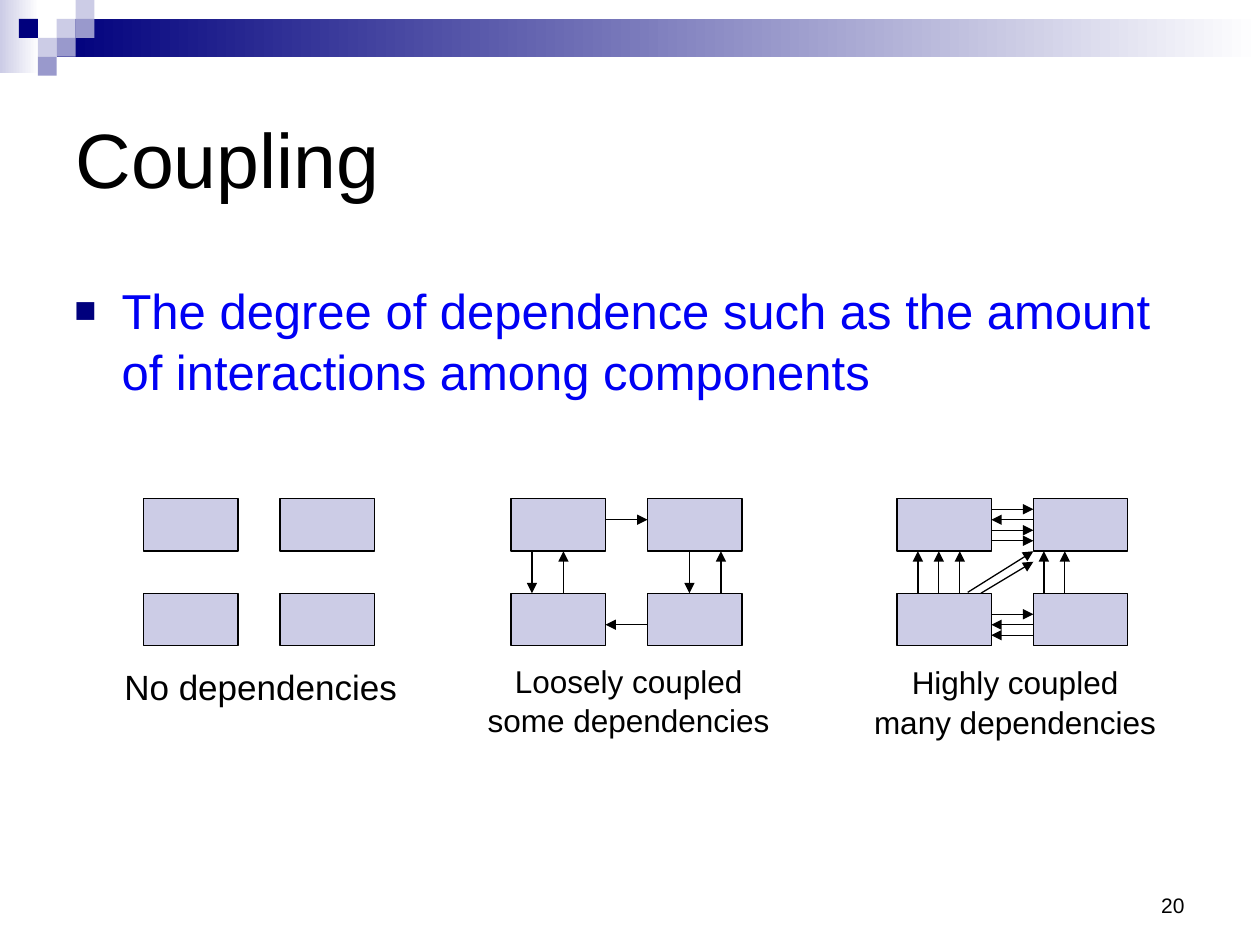
from dataclasses import dataclass

from lxml import etree
from pptx import Presentation
from pptx.dml.color import RGBColor
from pptx.enum import shapes, text
from pptx.oxml import ns
from pptx.util import Pt


@dataclass(frozen=True)
class Theme:
    font: str = "Arial"
    black: RGBColor = RGBColor(0, 0, 0)
    white: RGBColor = RGBColor(255, 255, 255)
    navy: RGBColor = RGBColor(0x00, 0x00, 0x7D)
    blue: RGBColor = RGBColor(0x00, 0x00, 0xF4)
    lavender: RGBColor = RGBColor(0xCC, 0xCC, 0xE6)
    violet: RGBColor = RGBColor(0x99, 0x99, 0xCC)
    title: int = 44
    body: int = 28
    caption_large: int = 20
    caption: int = 18
    number: int = 12


theme = Theme()
presentation = Presentation()
presentation.slide_width, presentation.slide_height = Pt(720), Pt(540)
slide = presentation.slides.add_slide(presentation.slide_layouts[1])


def add_rectangle(left, top, width, height, color):
    shape = slide.shapes.add_shape(
        shapes.MSO_SHAPE.RECTANGLE, Pt(left), Pt(top), Pt(width), Pt(height))
    shape.shadow.inherit = False
    shape.fill.solid()
    shape.fill.fore_color.rgb = color
    shape.line.fill.background()
    return shape


def write(shape, box, lines, size, color, align, anchor, spacing=1.05):
    shape.left, shape.top, shape.width, shape.height = map(Pt, box)
    frame = shape.text_frame
    frame.text = "\n".join(lines)
    frame.auto_size = text.MSO_AUTO_SIZE.NONE
    frame.vertical_anchor = anchor
    for paragraph in frame.paragraphs:
        paragraph.alignment = align
        paragraph.line_spacing = spacing
        paragraph.font.name = theme.font
        paragraph.font.size = Pt(size)
        paragraph.font.color.rgb = color
    return frame


for box, start in [((0, 0, 22.3, 41.8), theme.lavender),
                   ((32.4, 10.8, 687.6, 21.6), theme.navy)]:
    band = add_rectangle(*box, start)
    band.fill.gradient()
    band.fill.gradient_angle = 0
    for stop, color, position in zip(
            band.fill.gradient_stops, (start, theme.white), (0, 1)):
        stop.color.rgb = color
        stop.position = position

tile = 10.8
for column, row, color in [
    (3, 1, theme.lavender), (4, 0, theme.lavender), (4, 1, theme.violet),
    (2, 2, theme.lavender), (1, 1, theme.navy), (3, 2, theme.violet),
    (2, 3, theme.violet),
]:
    add_rectangle(column * tile, row * tile, tile, tile, color)

left, center, right = text.PP_ALIGN.LEFT, text.PP_ALIGN.CENTER, text.PP_ALIGN.RIGHT
top, middle, bottom = text.MSO_ANCHOR.TOP, text.MSO_ANCHOR.MIDDLE, text.MSO_ANCHOR.BOTTOM

write(slide.shapes.title, (36, 36, 648, 108), ["Coupling"],
      theme.title, theme.black, left, middle, 1)

body = write(slide.placeholders[1], (35.3, 154.8, 648, 90.7),
             ["The degree of dependence such as the amount of interactions among components"],
             theme.body, theme.blue, left, top)
body.paragraphs[0].space_before = Pt(7)
properties = body.paragraphs[0]._p.get_or_add_pPr()
properties.set("marL", str(Pt(27)))
properties.set("indent", str(-Pt(27)))
bullet_color = etree.SubElement(properties, ns.qn("a:buClr"))
etree.SubElement(bullet_color, ns.qn("a:srgbClr"), val=str(theme.navy))
etree.SubElement(properties, ns.qn("a:buSzPct"), val="75000")
etree.SubElement(properties, ns.qn("a:buFont"), typeface=theme.font)
etree.SubElement(properties, ns.qn("a:buChar"), char="■")

box_width, box_height, gap = 54, 30, 24
pitch_x, pitch_y = box_width + gap, box_height + gap
diagram_top = 285

loose_arrows = [
    (54, 12, 78, 12), (12, 30, 12, 54), (102, 30, 102, 54),
    (30, 54, 30, 30), (120, 54, 120, 30), (78, 72, 54, 72),
]
tight_arrows = (
    [(x, 54, x, 30) for x in (12, 24, 36, 84, 96)]
    + [(54, y, 78, y) for y in (6, 18, 24, 66)]
    + [(78, y, 54, y) for y in (12, 72, 78)]
    + [(40.5, 53.5, 78, 30), (48, 54, 78, 36)]
)
diagrams = [
    (82, [], (64.1, 375.8, 169.9, 31.7), ["No dependencies"], theme.caption_large),
    (292, loose_arrows, (271.4, 373.5, 175.7, 50.4),
     ["Loosely coupled", "some dependencies"], theme.caption),
    (512.5, tight_arrows, (492.2, 374.2, 175.7, 50.4),
     ["Highly coupled", "many dependencies"], theme.caption),
]

for diagram_left, arrows, caption_box, caption, size in diagrams:
    for column in range(2):
        for row in range(2):
            component = add_rectangle(
                diagram_left + column * pitch_x, diagram_top + row * pitch_y,
                box_width, box_height, theme.lavender)
            component.line.color.rgb = theme.black
            component.line.width = Pt(0.75)
    for x1, y1, x2, y2 in arrows:
        arrow = slide.shapes.add_connector(
            shapes.MSO_CONNECTOR.STRAIGHT,
            Pt(diagram_left + x1), Pt(diagram_top + y1),
            Pt(diagram_left + x2), Pt(diagram_top + y2))
        arrow.line.color.rgb = theme.black
        arrow.line.width = Pt(0.75)
        etree.SubElement(arrow.line._get_or_add_ln(), ns.qn("a:tailEnd"), type="triangle")
        etree.SubElement(arrow._element.spPr, ns.qn("a:effectLst"))
    label = slide.shapes.add_textbox(0, 0, 0, 0)
    write(label, caption_box, caption, size, theme.black, center, top)

number = slide.shapes.add_textbox(0, 0, 0, 0)
write(number, (516, 492, 168, 36), ["20"], theme.number, theme.black, right, bottom).word_wrap = True

presentation.save("out.pptx")
